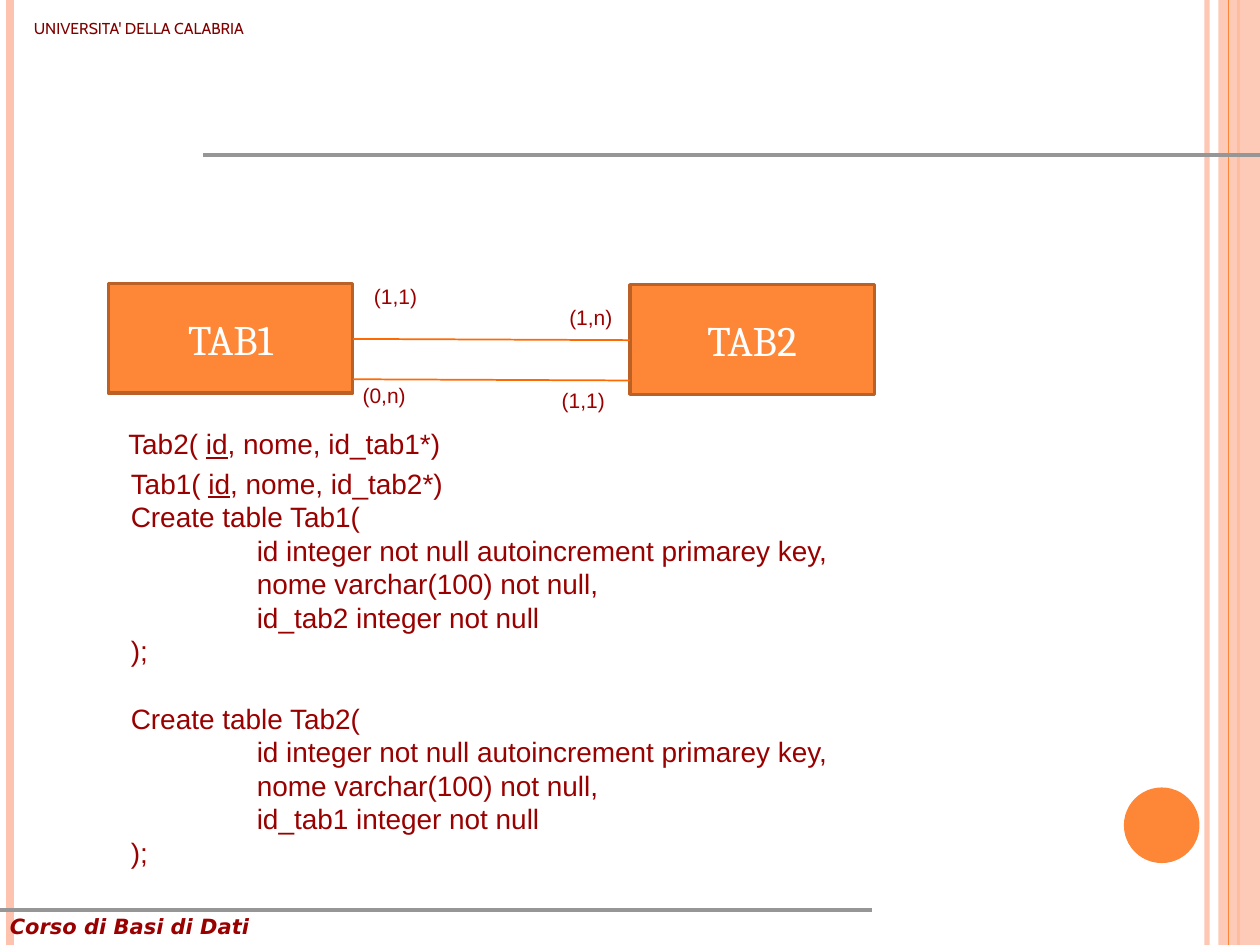
from dataclasses import dataclass

from lxml.etree import SubElement
from pptx import Presentation
from pptx.dml.color import RGBColor
from pptx.enum.shapes import MSO_CONNECTOR, MSO_SHAPE
from pptx.enum.text import MSO_ANCHOR, PP_ALIGN
from pptx.oxml.ns import qn
from pptx.util import Inches, Pt

ORANGE = RGBColor(0xFE, 0x86, 0x37)
PEACH = RGBColor(0xFE, 0xC3, 0xAE)
BROWN = RGBColor(0xBB, 0x61, 0x26)
LINK = RGBColor(0xFF, 0x69, 0x03)
GREY = RGBColor(0x96, 0x96, 0x96)
RED = RGBColor(0x99, 0x00, 0x00)
MAROON = RGBColor(0x80, 0x00, 0x00)
WHITE = RGBColor(0xFF, 0xFF, 0xFF)
CODE_LEADING = 19.2


@dataclass
class Rule:
    x1: float
    y1: float
    x2: float
    y2: float
    color: RGBColor
    width: float
    alpha: int = 100


@dataclass
class Style:
    size: float
    font: str = "Arial"
    color: RGBColor = RED
    bold: bool = False
    italic: bool = False


@dataclass
class Entity:
    name: str
    x: float
    y: float


@dataclass
class Label:
    text: str
    x: float
    y: float
    w: float
    h: float
    style: Style


CODE = Style(16)
CARDINALITY = Style(12)
ENTITY = Style(24, "Cambria", WHITE)


def set_alpha(fill, percent: int) -> None:
    color = fill._xPr.find(".//" + qn("a:srgbClr"))
    SubElement(color, qn("a:alpha")).set("val", str(percent * 1000))


def add_rule(s, rule: Rule) -> None:
    c = s.shapes.add_connector(MSO_CONNECTOR.STRAIGHT, Inches(rule.x1), Inches(rule.y1),
                               Inches(rule.x2), Inches(rule.y2))
    c.line.color.rgb = rule.color
    c.line.width = Pt(rule.width)
    if rule.alpha < 100:
        set_alpha(c.line.fill, rule.alpha)
    SubElement(c._element.spPr, qn("a:effectLst"))


def add_block(s, kind, x: float, y: float, w: float, h: float, color: RGBColor):
    sp = s.shapes.add_shape(kind, Inches(x), Inches(y), Inches(w), Inches(h))
    sp.shadow.inherit = False
    sp.fill.solid()
    sp.fill.fore_color.rgb = color
    sp.line.fill.background()
    return sp


def add_run(p, text: str, style: Style, underline: bool = False) -> None:
    r = p.add_run()
    r.text = text
    r.font.name = style.font
    r.font.size = Pt(style.size)
    r.font.color.rgb = style.color
    r.font.bold = style.bold
    r.font.italic = style.italic
    r.font.underline = underline


def add_entity(s, entity: Entity) -> None:
    sp = add_block(s, MSO_SHAPE.RECTANGLE, entity.x, entity.y, 1.94, 0.87, ORANGE)
    sp.line.color.rgb = BROWN
    sp.line.width = Pt(2)
    tf = sp.text_frame
    tf.vertical_anchor = MSO_ANCHOR.MIDDLE
    p = tf.paragraphs[0]
    p.alignment = PP_ALIGN.CENTER
    add_run(p, entity.name, ENTITY)


def add_frame(s, x: float, y: float, w: float, h: float):
    tf = s.shapes.add_textbox(Inches(x), Inches(y), Inches(w), Inches(h)).text_frame
    tf.word_wrap = True
    tf.margin_right = 0
    return tf


def add_label(s, label: Label) -> None:
    tf = add_frame(s, label.x, label.y, label.w, label.h)
    add_run(tf.paragraphs[0], label.text, label.style)


def add_relation(p, table: str, foreign_key: str) -> None:
    add_run(p, f"{table}( ", CODE)
    add_run(p, "id", CODE, underline=True)
    add_run(p, f", nome, {foreign_key}*)", CODE)


def add_code_line(tf, text: str, indent: float = 0, gap: float = 0) -> None:
    p = tf.add_paragraph()
    p.line_spacing = Pt(CODE_LEADING)
    p.space_before = Pt(gap)
    if indent:
        p._p.get_or_add_pPr().set("marL", str(Inches(indent)))
    add_run(p, text, CODE)


def add_create_table(tf, table: str, foreign_key: str, gap: float = 0) -> None:
    add_code_line(tf, f"Create table {table}(", gap=gap)
    for column in ("id integer not null autoincrement primarey key,",
                   "nome varchar(100) not null,",
                   f"{foreign_key} integer not null"):
        add_code_line(tf, column, indent=1)
    add_code_line(tf, ");")


def main() -> None:
    prs = Presentation()
    prs.slide_width, prs.slide_height = Inches(10), Inches(7.5)
    s = prs.slides.add_slide(prs.slide_layouts[6])

    add_rule(s, Rule(9.58, 0, 9.58, 7.5, PEACH, 3, 93))
    add_rule(s, Rule(0.08, 0, 0.08, 7.5, PEACH, 4.5))
    add_rule(s, Rule(9.83, 0, 9.83, 7.5, ORANGE, 1.5))
    band = add_block(s, MSO_SHAPE.RECTANGLE, 9.67, 0, 0.33, 7.5, PEACH)
    set_alpha(band.fill, 87)
    add_rule(s, Rule(9.75, 0, 9.75, 7.5, ORANGE, 0.75))
    add_block(s, MSO_SHAPE.OVAL, 8.92, 6.25, 0.6, 0.6, ORANGE)
    add_rule(s, Rule(1.61, 1.23, 10, 1.23, GREY, 2.25))
    add_rule(s, Rule(0, 7.22, 6.92, 7.22, GREY, 2.25))

    for entity in (Entity("TAB1", 0.86, 2.25), Entity("TAB2", 5, 2.26)):
        add_entity(s, entity)
    for y in (2.69, 3.01):
        add_rule(s, Rule(2.8, y, 5, y + 0.01, LINK, 1))

    for label in (
        Label("Corso di Basi di Dati", -0.02, 7.2, 8.58, 0.3,
              Style(12, "DejaVu Sans", bold=True, italic=True)),
        Label("UNIVERSITA' DELLA CALABRIA", 0.17, 0.1, 2.35, 0.4,
              Style(9, "Cabin", MAROON)),
        Label("(1,1)", 2.87, 2.2, 0.54, 0.3, CARDINALITY),
        Label("(1,n)", 4.42, 2.37, 0.54, 0.3, CARDINALITY),
        Label("(0,n)", 2.78, 2.99, 0.54, 0.3, CARDINALITY),
        Label("(1,1)", 4.36, 3.03, 0.54, 0.3, CARDINALITY),
    ):
        add_label(s, label)

    tf = add_frame(s, 0.94, 3.65, 5.74, 3.83)
    add_relation(tf.paragraphs[0], "Tab1", "id_tab2")
    add_create_table(tf, "Tab1", "id_tab2")
    add_create_table(tf, "Tab2", "id_tab1", gap=CODE_LEADING)

    tf = add_frame(s, 0.92, 3.34, 2.7, 0.37)
    add_relation(tf.paragraphs[0], "Tab2", "id_tab1")

    prs.save("out.pptx")


if __name__ == "__main__":
    main()
